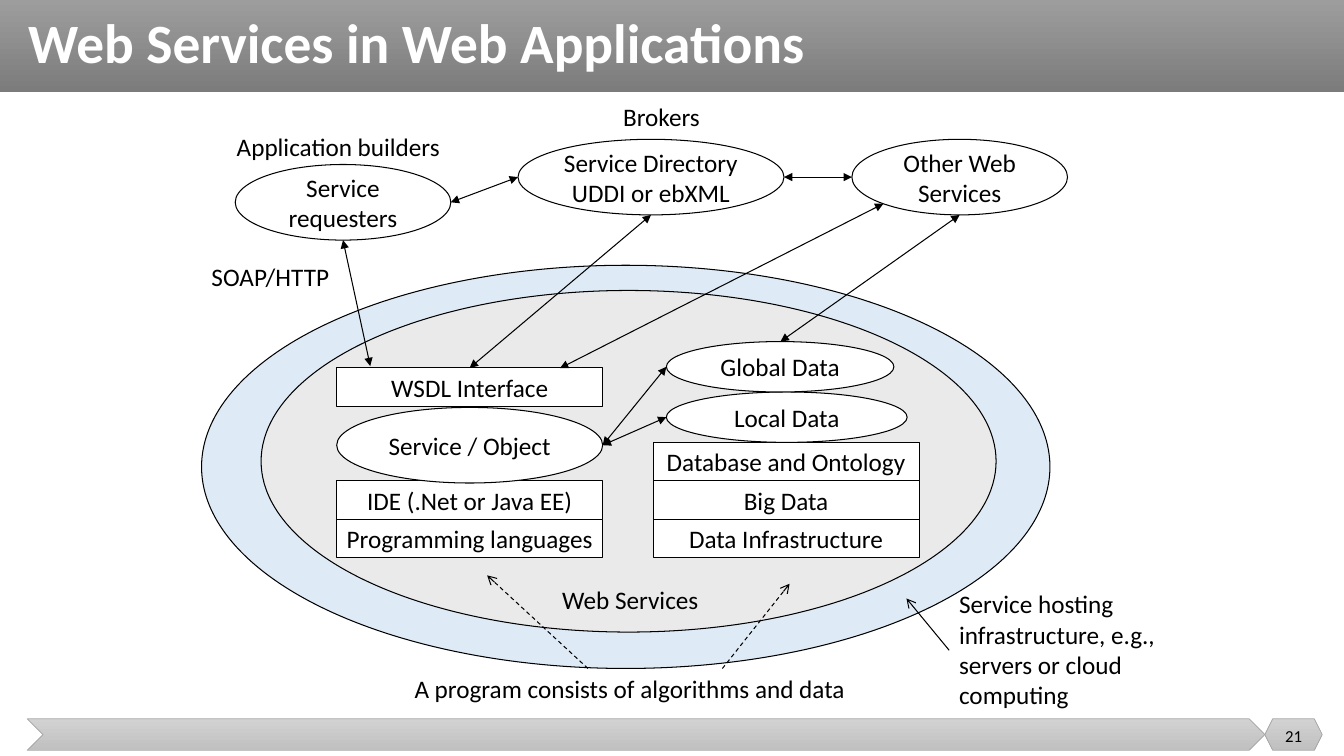
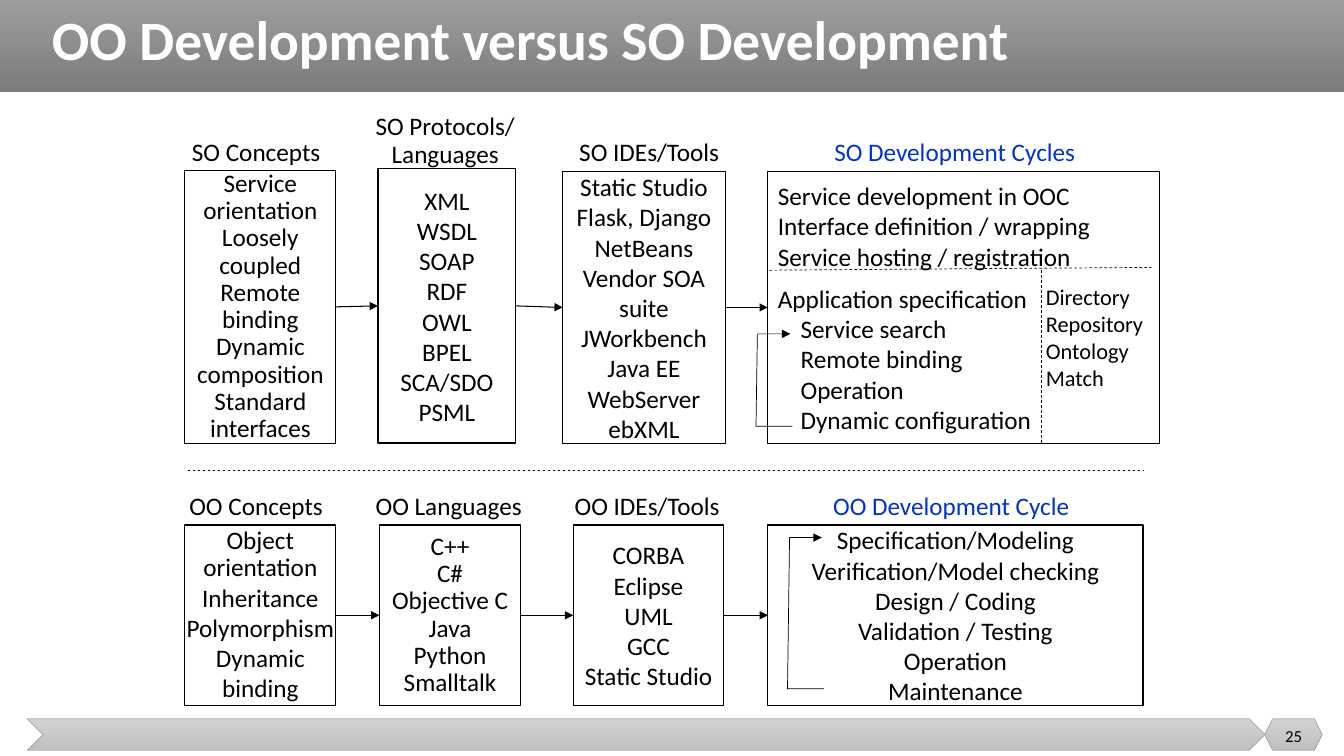
from lxml import etree
from pptx import Presentation
from pptx.dml.color import RGBColor
from pptx.enum.dml import MSO_LINE
from pptx.enum.shapes import MSO_CONNECTOR, MSO_SHAPE
from pptx.enum.text import MSO_ANCHOR, PP_ALIGN
from pptx.oxml.ns import qn
from pptx.util import Pt

RECT, OVAL = MSO_SHAPE.RECTANGLE, MSO_SHAPE.OVAL
CHEVRON, HEXAGON = MSO_SHAPE.CHEVRON, MSO_SHAPE.HEXAGON
STRAIGHT, DASH = MSO_CONNECTOR.STRAIGHT, MSO_LINE.DASH
LEFT, CENTER = PP_ALIGN.LEFT, PP_ALIGN.CENTER
TOP, MIDDLE = MSO_ANCHOR.TOP, MSO_ANCHOR.MIDDLE

COLORS = {
    "black": "000000", "white": "FFFFFF", "blue": "0033CC",
    "hosting": "DEEBF7", "services": "EAEAEA",
    "band_top": "9D9D9D", "band_end": "7C7C7C",
    "footer_top": "D2D2D2", "footer_end": "C0C0C0", "footer_line": "A5A5A5",
}
RGB = {name: RGBColor.from_string(value) for name, value in COLORS.items()}
BODY = {"name": "Calibri", "size": Pt(18), "bold": False}
TITLE = {"name": "Calibri", "size": Pt(39.6), "bold": True}
SMALL = {"name": "Calibri", "size": Pt(12), "bold": False}
MEDIUM = {"name": "Calibri", "size": Pt(16), "bold": False}


def add_box(s, kind, at, lines=(), fill="white", color="black", font=BODY,
            align=CENTER, anchor=MIDDLE, spacing=1.0, wrap=False):
    """Outlined shape with text, or a plain text box if kind is None."""
    at = [Pt(v) for v in at]
    if kind is None:
        sp = s.shapes.add_textbox(*at)
    else:
        sp = s.shapes.add_shape(kind, *at)
        sp.shadow.inherit = False
        sp.fill.solid()
        sp.fill.fore_color.rgb = RGB[fill]
        sp.line.color.rgb = RGB["black"]
        sp.line.width = Pt(0.75)
    tf = sp.text_frame
    tf.word_wrap = wrap
    tf.vertical_anchor = anchor
    for i, text in enumerate(lines):
        p = tf.paragraphs[0] if i == 0 else tf.add_paragraph()
        p.alignment = align
        p.line_spacing = spacing
        r = p.add_run()
        r.text = text
        for key, value in font.items():
            setattr(r.font, key, value)
        r.font.color.rgb = RGB[color]
    return sp


def add_path(s, points, width=0.75, dash=False, head=None, tail=None):
    """Straight connector for two points, open outline for more."""
    points = [(Pt(x), Pt(y)) for x, y in points]
    if len(points) == 2:
        sp = s.shapes.add_connector(STRAIGHT, *points[0], *points[1])
    else:
        outline = s.shapes.build_freeform(*points[0])
        outline.add_line_segments(points[1:], close=False)
        sp = outline.convert_to_shape()
        sp.fill.background()
    sp.line.color.rgb = RGB["black"]
    sp.line.width = Pt(width)
    if dash:
        sp.line.dash_style = DASH
    ln = sp.line._get_or_add_ln()
    for tag, end in (("a:headEnd", head), ("a:tailEnd", tail)):
        if end:
            etree.SubElement(ln, qn(tag)).set("type", end)
    etree.SubElement(sp._element.spPr, qn("a:effectLst"))
    return sp


prs = Presentation()
prs.slide_width, prs.slide_height = Pt(960), Pt(540)

# Title band, footer, title and number of each slide
BANDS = [
    (RECT, (0, 0, 960, 65.5), "band", None),
    (CHEVRON, (19.5, 513.5, 884, 22.5), "footer", "footer_line"),
    (HEXAGON, (903.5, 513.5, 41, 22.5), "footer", "footer_line"),
]
slides = []
for title, x, y, number in (
    ("Web Services in Web Applications", 13, 8, "21"),
    ("OO Development versus SO Development", 30, 6, "25"),
):
    s = prs.slides.add_slide(prs.slide_layouts[6])
    for kind, at, shade, edge in BANDS:
        sp = add_box(s, kind, at)
        sp.fill.gradient()
        sp.fill.gradient_angle = 270
        for stop, part in zip(sp.fill.gradient_stops, ("_top", "_end")):
            stop.color.rgb = RGB[shade + part]
        if edge:
            sp.line.color.rgb = RGB[edge]
            sp.line.width = Pt(0.5)
        else:
            sp.line.fill.background()
    add_box(s, None, (903.5, 511, 41, 29), [number], font=SMALL, wrap=True)
    add_box(s, None, (x, y, 820, 49), [title], color="white", font=TITLE,
            align=LEFT, spacing=0.9, wrap=True)
    slides.append(s)

# Slide 1: hosting and service areas
s = slides[0]
add_box(s, OVAL, (144, 189.5, 606, 288), fill="hosting")
add_box(s, OVAL, (186.5, 207.5, 525, 244), fill="services")

# Stacked layers
ROW_H, LAYER_W = 27.4, 190
for x, row, text in (
    (466.5, 0, "Database and Ontology"),
    (466.5, 1, "Big Data"),
    (466.5, 2, "Data Infrastructure"),
    (240.5, 1, "IDE (.Net or Java EE)"),
    (240.5, 2, "Programming languages"),
):
    add_box(s, RECT, (x, 316 + row * ROW_H, LAYER_W, ROW_H), [text])
wsdl = add_box(s, RECT, (240.5, 262.8, LAYER_W, ROW_H), ["WSDL Interface"])

# Services and data
for at, lines in (
    ((240.5, 291, 190, 54), ["Service / Object"]),
    ((476, 280, 172, 36), ["Local Data"]),
    ((476, 244, 162.5, 36), ["Global Data"]),
    ((370, 99.5, 190, 54), ["Service Directory", "UDDI or ebXML"]),
    ((168, 117.5, 154, 54), ["Service", "requesters"]),
    ((608.5, 99.5, 154, 54), ["Other Web", "Services"]),
):
    add_box(s, OVAL, at, lines)

# Two-way links
for points in (
    [(400, 263), (631, 145.5)],
    [(322, 144.5), (370, 126.5)],
    [(557.5, 244), (685.5, 153.5)],
    [(476, 298), (430.5, 318)],
    [(476, 262), (430.5, 318)],
    [(560, 126.5), (608.5, 126.5)],
    [(245, 171.5), (264.5, 261.5)],
):
    add_path(s, points, head="triangle", tail="triangle")
link = add_path(s, [(335.5, 262.8), (465, 153.5)], head="triangle", tail="triangle")
link.begin_connect(wsdl, 0)

# Labels and their pointers
for x, y, w, text in (
    (144, 183, 103, "SOAP/HTTP"),
    (394.5, 413.5, 116.5, "Web Services"),
    (162, 90, 167, "Application builders"),
    (438, 69, 74, "Brokers"),
    (289, 477.5, 339, "A program consists of algorithms and data"),
):
    add_box(s, None, (x, y, w, 29), [text], align=LEFT, anchor=TOP)
add_box(s, None, (678, 417, 160.5, 94),
        ["Service hosting infrastructure, e.g., servers or cloud computing"],
        align=LEFT, anchor=TOP, wrap=True)
for points, dash in (
    ([(420, 477.5), (348, 411)], True),
    ([(516, 477.5), (564, 417)], True),
    ([(678, 464.5), (647.5, 427.5)], False),
):
    add_path(s, points, dash=dash, tail="arrow")

# Slide 2: two rows of boxes; column = label place, label, box place, spacing, lines
s = slides[1]
SO_ROW = [
    ((114, 93.5, 138, 29), ["SO Concepts"], (132, 121.7, 108, 195), 0.9,
     ["Service", "orientation", "Loosely", "coupled", "Remote", "binding",
      "Dynamic", "composition", "Standard", "interfaces"]),
    ((216, 78, 204, 47), ["SO Protocols/", "Languages"], (270, 120.5, 98.5, 196), 1.0,
     ["XML", "WSDL", "SOAP", "RDF", "OWL", "BPEL", "SCA/SDO", "PSML"]),
    ((394, 93.5, 139.5, 29), ["SO IDEs/Tools"], (402, 122.4, 116, 194.4), 1.0,
     ["Static Studio", "Flask, Django", "NetBeans", "Vendor SOA", "suite",
      "JWorkbench", "Java EE", "WebServer", "ebXML"]),
    ((574.5, 93.5, 215, 29), ["SO Development Cycles"], (548.5, 122.4, 279.5, 194.4), 1.0,
     ["Service development in OOC", "Interface definition / wrapping",
      "Service hosting / registration", "Application specification",
      "Service search", "Remote binding", "Operation", "Dynamic configuration"]),
]
OO_ROW = [
    ((114, 347, 138, 29), ["OO Concepts"], (132, 375, 108, 129), 1.0,
     ["Object", "orientation", "Inheritance", "Polymorphism", "Dynamic", "binding"]),
    ((252, 347, 137, 29), ["OO Languages"], (271, 375, 101, 129), 0.9,
     ["C++", "C#", "Objective C", "Java", "Python", "Smalltalk"]),
    ((391, 347, 142.5, 29), ["OO IDEs/Tools"], (409.5, 375, 107.5, 129), 1.0,
     ["CORBA", "Eclipse", "UML", "GCC", "Static Studio"]),
    ((574, 347, 211, 29), ["OO Development Cycle"], (548.5, 375, 268, 129), 1.0,
     ["Specification/Modeling", "Verification/Model checking", "Design / Coding",
      "Validation / Testing", "Operation", "Maintenance"]),
]
rows = []
for row in (SO_ROW, OO_ROW):
    boxes = []
    for label_at, label, box_at, spacing, lines in row:
        color = "blue" if row[-1][1] == label else "black"
        boxes.append(add_box(s, RECT, box_at, lines, spacing=spacing))
        add_box(s, None, label_at, label, color=color, anchor=TOP,
                spacing=0.9 if len(label) > 1 else 1.0)
    for left, right in zip(boxes, boxes[1:]):
        arrow = add_path(s, [(0, 0), (1, 1)], tail="triangle")
        arrow.begin_connect(left, 3)
        arrow.end_connect(right, 1)
    rows.append(boxes)

# Paragraphs that differ within a box
for p in rows[1][0].text_frame.paragraphs[:2]:
    p.line_spacing = 0.9
cycle = rows[0][3].text_frame.paragraphs
for p in cycle:
    p.alignment = LEFT
cycle[3].line_spacing = 1.4
for p in cycle[4:]:
    p._p.get_or_add_pPr().set("marL", str(Pt(16.3)))
add_box(s, None, (740, 199, 94.5, 85), ["Directory", "Repository", "Ontology", "Match"],
        font=MEDIUM, align=LEFT, anchor=TOP, wrap=True)

# Dividers and loop arrows
for points in (
    [(134, 336), (816.5, 336)],
    [(549.5, 193), (822.5, 191)],
    [(743.5, 193), (743.5, 317)],
):
    add_path(s, points, width=0.5, dash=True)
for points in (
    [(566, 304.5), (540, 304.5), (541, 238.5), (564.5, 238.5)],
    [(588.5, 492), (562.5, 492), (564, 384), (587, 384)],
):
    add_path(s, points, width=0.5, tail="triangle")

prs.save("out.pptx")
